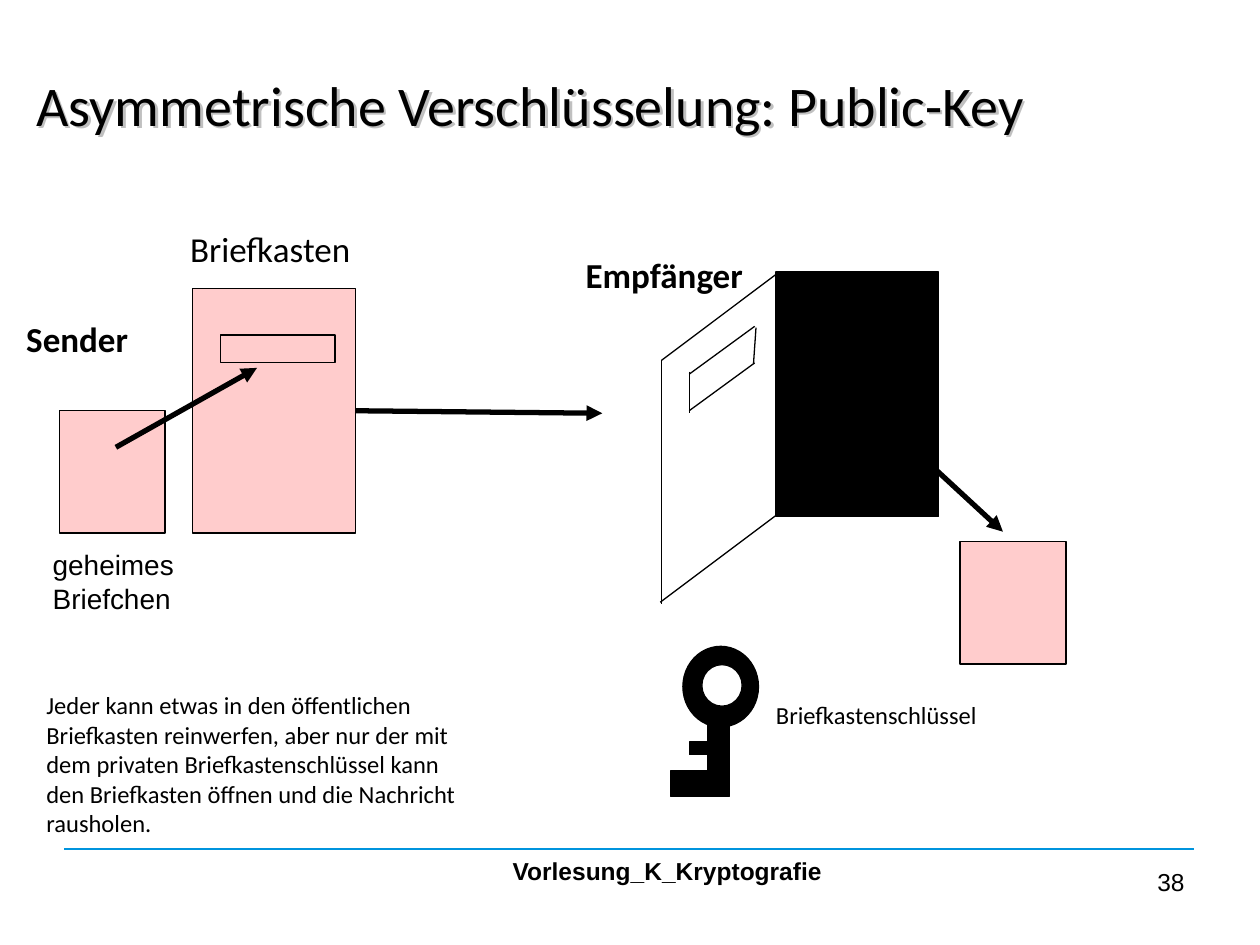
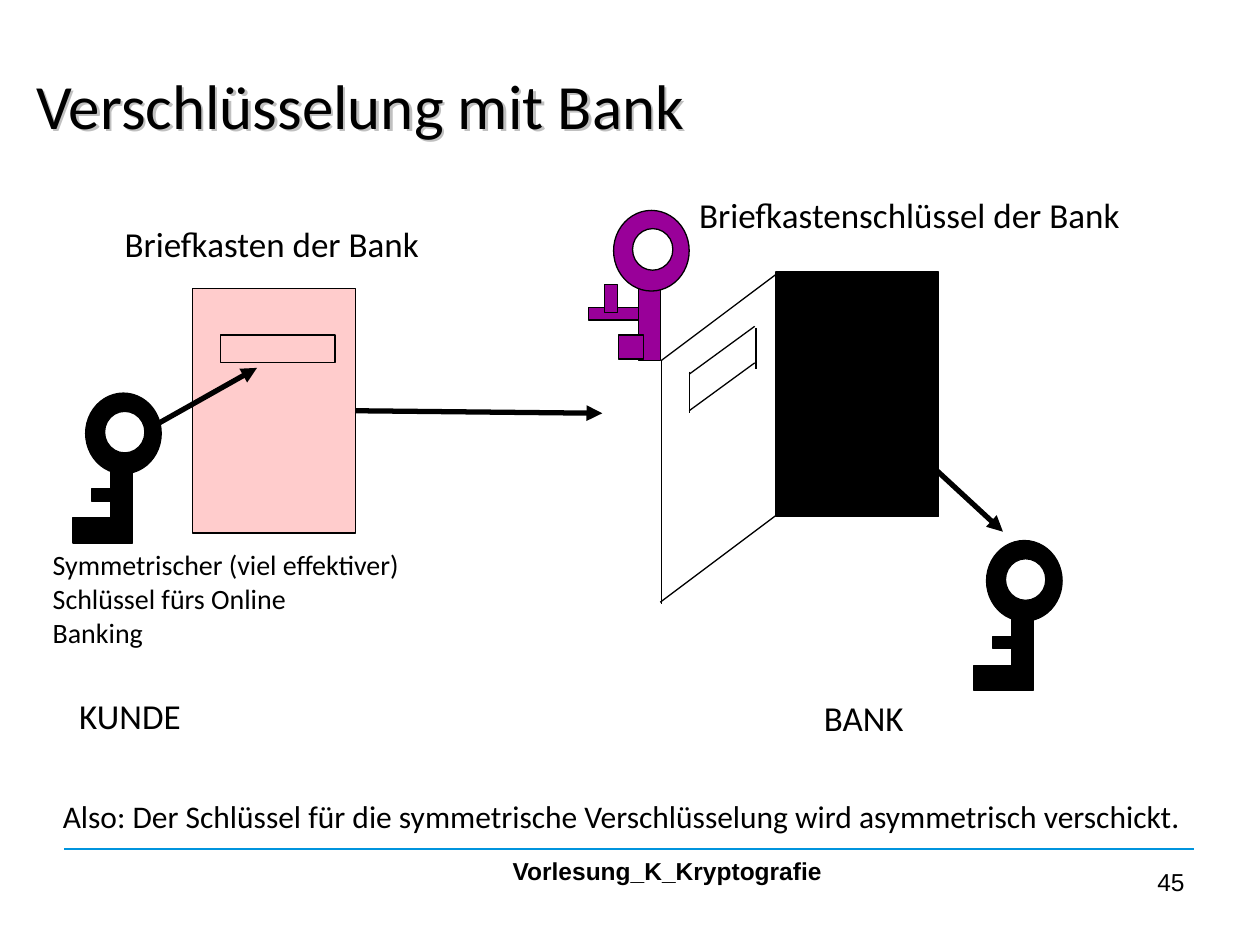
from lxml.etree import SubElement
from pptx import Presentation
from pptx.dml.color import RGBColor
from pptx.enum.shapes import MSO_CONNECTOR, MSO_SHAPE
from pptx.enum.text import MSO_ANCHOR, PP_ALIGN
from pptx.oxml.ns import qn
from pptx.util import Inches, Pt

BLACK, WHITE, BLUE = "000000", "FFFFFF", "0094DD"
PINK, PURPLE, SHADOW = "FFCCCC", "990099", "C0C0C0"
RECTANGLE, ELLIPSE = MSO_SHAPE.RECTANGLE, MSO_SHAPE.OVAL

presentation = Presentation()
presentation.slide_width = Inches(10)
presentation.slide_height = Inches(7.5)
CELL = presentation.slide_width / 100
color = RGBColor.from_string


def add_form(shapes, kind, box, fill):
    shape = shapes.add_shape(kind, *[round(value * CELL) for value in box])
    shape.shadow.inherit = False
    shape.fill.solid()
    shape.fill.fore_color.rgb = color(fill)
    shape.line.color.rgb = color(BLACK)
    shape.line.width = Pt(0.75)
    return shape


def add_text(slide, text, box, size, bold=False, font="Calibri", wrap=False):
    textbox = slide.shapes.add_textbox(*[round(value * CELL) for value in box])
    frame = textbox.text_frame
    frame.word_wrap = wrap
    frame.text = text
    for paragraph in frame.paragraphs:
        paragraph.font.size = Pt(size)
        paragraph.font.bold = bold
        paragraph.font.name = font
        paragraph.font.color.rgb = color(BLACK)
    return textbox


key_bow = (ELLIPSE, 0, 0, 6, 6.4)
key_hole = (ELLIPSE, 1.5, 1.45, 3.2, 3.3)
key_shank = (RECTANGLE, 2, 6.2, 1.7, 5.7)
black_key = [
    key_shank,
    (RECTANGLE, -1, 9.9, 3.4, 2),
    (RECTANGLE, 0.5, 7.6, 1.5, 1),
    key_bow,
    key_hole,
]
purple_key = [
    (RECTANGLE, 0.5, 7.7, 1.5, 1),
    key_shank,
    (RECTANGLE, 0.4, 9.9, 2, 1.9),
    key_bow,
    (RECTANGLE, -2, 7.7, 4, 1),
    key_hole,
    (RECTANGLE, -0.7, 5.9, 1, 2.2),
]

door_lines = [
    (61.7, 21.7, 52.5, 28.6),
    (61.6, 40.9, 52.4, 47.8),
    (52.5, 47.9, 52.5, 28.6),
    (54.7, 29.7, 59.9, 25.9),
    (54.7, 32.6, 59.9, 28.8),
    (54.7, 29.5, 54.7, 32.8),
]
delivery_arrow = (28.2, 32.6, 47.8, 32.8)
arrows = [delivery_arrow, (9.2, 35.5, 20.4, 29.2), (70.4, 33.7, 79.6, 42.2)]

pages = [
    {
        "title": "Asymmetrische Verschlüsselung: Public-Key",
        "title size": 32,
        "number": "38",
        "letters": [(4.7, 32.6), (76.2, 43)],
        "slot edge": (60, 26, 59.8, 28.9),
        "keys": [(black_key, BLACK, 54.2, 51.3)],
        "labels": [
            ("geheimes\nBriefchen", (3.2, 43, 11.6, 6.4), 16, False, "Arial"),
            ("Empfänger", (45.5, 19.6, 14.6, 4.4), 20, True),
            ("Briefkasten", (14.1, 17.6, 14.9, 4.4), 20),
            ("Sender", (1.1, 24.7, 10.2, 4.4), 20, True),
            ("Briefkastenschlüssel", (60.6, 55.1, 18.1, 3.4), 14),
            (
                "Jeder kann etwas in den öffentlichen Briefkasten reinwerfen, "
                "aber nur der mit dem privaten Briefkastenschlüssel kann den "
                "Briefkasten öffnen und die Nachricht rausholen.",
                (2.7, 54.3, 35.6, 12.8), 14, False, "Calibri", True,
            ),
        ],
    },
    {
        "title": "Verschlüsselung mit Bank",
        "title size": 36,
        "number": "45",
        "letters": [],
        "slot edge": (60, 26, 60, 29.3),
        "keys": [
            (black_key, BLACK, 78.3, 42.9),
            (black_key, BLACK, 6.8, 31.2),
            (purple_key, PURPLE, 48.7, 16.7),
        ],
        "labels": [
            (
                "Symmetrischer (viel effektiver)\nSchlüssel fürs Online\nBanking",
                (3.2, 43, 29.9, 9.1), 16,
            ),
            ("BANK", (64.4, 54.8, 8.4, 4.4), 20),
            ("Briefkasten der Bank", (8.9, 17.2, 25.6, 4.4), 20),
            ("Briefkastenschlüssel der Bank", (54.5, 14.9, 35.7, 4.4), 20),
            ("KUNDE", (5.3, 54.6, 10.1, 4.4), 20),
            (
                "Also: Der Schlüssel für die symmetrische Verschlüsselung "
                "wird asymmetrisch verschickt.",
                (4, 62.8, 91.7, 4), 18,
            ),
        ],
    },
]

for page in pages:
    slide = presentation.slides.add_slide(presentation.slide_layouts[6])

    lecture = add_text(slide, "Vorlesung_K_Kryptografie", (39.7, 67.1, 28.6, 3.7),
                       14, True, "Arial", True)
    lecture.text_frame.paragraphs[0].line_spacing = 1.15
    number = add_text(slide, page["number"], (71.7, 68.3, 23.3, 5.2),
                      14, False, "Arial", True)
    number.text_frame.paragraphs[0].alignment = PP_ALIGN.RIGHT

    title = add_text(slide, page["title"], (1.9, 2.8, 95, 10.9), page["title size"], wrap=True)
    title.text_frame.vertical_anchor = MSO_ANCHOR.MIDDLE
    effects = SubElement(title._element.spPr, qn("a:effectLst"))
    shadow = SubElement(effects, qn("a:outerShdw"), dist="25400", dir="2700000")
    SubElement(shadow, qn("a:srgbClr"), val=SHADOW)

    mailbox = add_form(slide.shapes, RECTANGLE, (15.3, 22.9, 12.9, 19.4), PINK)
    add_form(slide.shapes, RECTANGLE, (17.5, 26.6, 9.1, 2.2), PINK)
    add_form(slide.shapes, RECTANGLE, (61.6, 21.6, 12.9, 19.4), BLACK)
    for left, top in page["letters"]:
        add_form(slide.shapes, RECTANGLE, (left, top, 8.4, 9.7), PINK)

    lines = [((5.1, 67.4, 94.8, 67.4), BLUE, 1)]
    lines += [(ends, BLACK, 0.75) for ends in door_lines + [page["slot edge"]]]
    lines += [(ends, BLACK, 3) for ends in arrows]
    for ends, ink, weight in lines:
        connector = slide.shapes.add_connector(
            MSO_CONNECTOR.STRAIGHT, *[round(value * CELL) for value in ends])
        connector.line.color.rgb = color(ink)
        connector.line.width = Pt(weight)
        if ends in arrows:
            SubElement(connector.line._get_or_add_ln(), qn("a:tailEnd"), type="triangle")
        if ends == delivery_arrow:
            connector.begin_connect(mailbox, 3)
        SubElement(connector._element.spPr, qn("a:effectLst"))

    for key_parts, fill, left, top in page["keys"]:
        key = slide.shapes.add_group_shape()
        for part in key_parts:
            kind, across, down, width, height = part
            add_form(key.shapes, kind, (left + across, top + down, width, height),
                     WHITE if part == key_hole else fill)

    for label in page["labels"]:
        add_text(slide, *label)

presentation.save("out.pptx")
